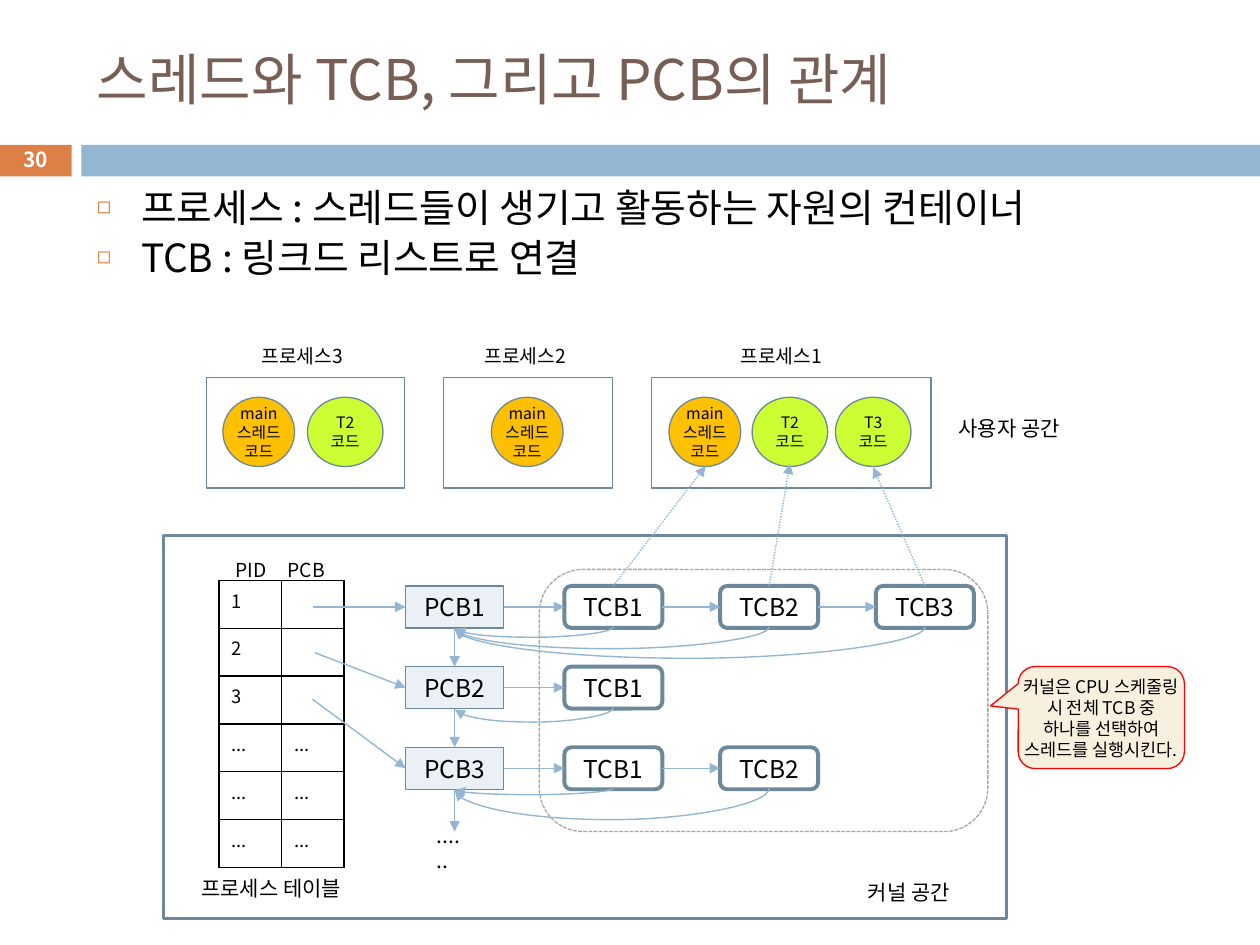
"""Build the slide on how threads, TCBs and PCBs relate."""
import lxml.etree
import pptx
import pptx.chart.data
import pptx.dml.color
import pptx.enum.dml
import pptx.enum.shapes
import pptx.enum.text
import pptx.oxml.ns
import pptx.util

Pt = pptx.util.Pt
qn = pptx.oxml.ns.qn
SubElement = lxml.etree.SubElement
RGBColor = pptx.dml.color.RGBColor
SHAPE = pptx.enum.shapes.MSO_SHAPE
CONNECTOR = pptx.enum.shapes.MSO_CONNECTOR
DASH = pptx.enum.dml.MSO_LINE
ALIGN = pptx.enum.text.PP_ALIGN
ANCHOR = pptx.enum.text.MSO_ANCHOR

THEME = {
    "font": "Noto Sans CJK KR",
    "title": "775F55", "text": "000000", "white": "FFFFFF",
    "accent": "DD8047", "arrow": "94B6D2", "outline": "6D879B",
    "pcb": "EAF0F6", "main": "FFC000", "thread": "CCFF33",
    "callout": "F7F0DE", "alert": "FF0000", "group": "A6A6A6",
    "title_size": 32, "body_size": 22.2, "block_size": 14, "label_size": 12,
    "number_size": 11.9, "caption_size": 11, "cell_size": 10.5,
    "callout_size": 10, "thread_size": 9,
}


def write_text(frame, lines, size, color="text", align=ALIGN.LEFT, bold=False):
    for index, line in enumerate(lines):
        paragraph = frame.paragraphs[0] if index == 0 else frame.add_paragraph()
        paragraph.alignment = align
        run = paragraph.add_run()
        run.text = line
        formats = {"name": THEME["font"], "size": Pt(THEME[size]), "bold": bold}
        for name, value in formats.items():
            setattr(run.font, name, value)
        run.font.color.rgb = RGBColor.from_string(THEME[color])
        SubElement(run._r.get_or_add_rPr(), qn("a:ea"), typeface=THEME["font"])


def add_block(kind, box, fill=None, line=None, width=0.75, lines=(), size="block_size", inset=None):
    shape = slide.shapes.add_shape(kind, *map(Pt, box))
    shape.shadow.inherit = False
    if fill:
        shape.fill.solid()
        shape.fill.fore_color.rgb = RGBColor.from_string(THEME[fill])
    else:
        shape.fill.background()
    if line:
        shape.line.color.rgb = RGBColor.from_string(THEME[line])
        shape.line.width = Pt(width)
    else:
        shape.line.fill.background()
    frame = shape.text_frame
    frame.vertical_anchor = ANCHOR.MIDDLE
    if inset is not None:
        for side in ("left", "top", "right", "bottom"):
            setattr(frame, f"margin_{side}", Pt(inset))
    write_text(frame, lines, size, align=ALIGN.CENTER)
    return shape


presentation = pptx.Presentation()
presentation.slide_width, presentation.slide_height = Pt(720), Pt(540)
slide = presentation.slides.add_slide(presentation.slide_layouts[1])

add_block(SHAPE.RECTANGLE, (-0.5, 82.8, 41.5, 18), "accent")
add_block(SHAPE.RECTANGLE, (46.5, 82.8, 673.5, 18), "arrow")

title, body = slide.placeholders
for placeholder, top, height, anchor in (
    (title, 18, 53.5, ANCHOR.MIDDLE), (body, 105.8, 60.5, ANCHOR.TOP),
):
    position = {"left": Pt(48.2), "top": Pt(top), "width": Pt(642), "height": Pt(height)}
    for name, value in position.items():
        setattr(placeholder, name, value)
    placeholder.text_frame.vertical_anchor = anchor
    placeholder.text_frame.auto_size = pptx.enum.text.MSO_AUTO_SIZE.NONE
write_text(title.text_frame, ["스레드와 TCB, 그리고 PCB의 관계"], "title_size", "title")
write_text(body.text_frame, [
    "프로세스 : 스레드들이 생기고 활동하는 자원의 컨테이너",
    "TCB : 링크드 리스트로 연결",
], "body_size")
for paragraph in body.text_frame.paragraphs:
    paragraph.space_before = Pt(7)
    paragraph.line_spacing = 0.82
    properties = paragraph._p.get_or_add_pPr()
    properties.set("marL", str(Pt(25.2)))
    properties.set("indent", str(Pt(-25.2)))
    SubElement(SubElement(properties, qn("a:buClr")), qn("a:srgbClr"), val=THEME["accent"])
    SubElement(properties, qn("a:buSzPct"), val="60000")
    SubElement(properties, qn("a:buChar"), char="◻")

add_block(SHAPE.RECTANGLE, (93.6, 306, 481.7, 218.9), line="outline", width=1.5)

PCB_LEFT, TCB_LEFT, TCB_STEP = 231.8, 322.5, 89
ROW_TOP, ROW_STEP, BLOCK_WIDTH, BLOCK_HEIGHT = 334.8, 46.1, 56, 24
pcb_center = PCB_LEFT + BLOCK_WIDTH / 2
tcb_centers = [TCB_LEFT + TCB_STEP * column + BLOCK_WIDTH / 2 for column in range(3)]
tcb_counts = (3, 1, 2)
pid_starts = ((178.6, 346.8), (180, 373), (178.6, 399.6))
arrows = []
for row, (tcb_count, pid_start) in enumerate(zip(tcb_counts, pid_starts)):
    top = ROW_TOP + ROW_STEP * row
    middle, bottom = top + BLOCK_HEIGHT / 2, top + BLOCK_HEIGHT
    add_block(SHAPE.RECTANGLE, (PCB_LEFT, top, BLOCK_WIDTH, BLOCK_HEIGHT),
              "pcb", "outline", lines=[f"PCB{row + 1}"])
    arrows.append((*pid_start, PCB_LEFT, middle, None))
    arrows.append((pcb_center, bottom, pcb_center, top + ROW_STEP if row < 2 else 475.2, None))
    previous_right = PCB_LEFT + BLOCK_WIDTH
    for column in range(tcb_count):
        left = TCB_LEFT + TCB_STEP * column
        add_block(SHAPE.ROUNDED_RECTANGLE, (left, top, BLOCK_WIDTH, BLOCK_HEIGHT),
                  "white", "outline", 2.25, [f"TCB{column + 1}"])
        arrows.append((previous_right, middle, left, middle, None))
        previous_right = left + BLOCK_WIDTH
for center, target in zip(tcb_centers, ((403.2, 266.4), (451.4, 265), (499, 267.1))):
    arrows.append((center, ROW_TOP, *target, DASH.ROUND_DOT))

table = slide.shapes.add_table(6, 2, Pt(125.2), Pt(331.8), Pt(71.4), Pt(163.8)).table
table.first_row = table.horz_banding = False
for row in range(6):
    for column in range(2):
        cell = table.cell(row, column)
        text = "..." if row > 2 else ("" if column else str(row + 1))
        if text:
            write_text(cell.text_frame, [text], "cell_size")
        else:
            SubElement(cell.text_frame.paragraphs[0]._p, qn("a:endParaRPr"), sz="1050")
        properties = cell._tc.get_or_add_tcPr()
        for side in ("lnL", "lnR", "lnT", "lnB"):
            border = SubElement(properties, qn(f"a:{side}"), w=str(Pt(1)))
            SubElement(SubElement(border, qn("a:solidFill")), qn("a:srgbClr"), val=THEME["text"])
        cell.fill.background()
for left, header in ((118.8, "PID"), (150.5, "PCB")):
    add_block(SHAPE.FLOWCHART_PROCESS, (left, 310.7, 49, 30.2), lines=[header], size="caption_size")

group = add_block(SHAPE.ROUNDED_RECTANGLE, (308.2, 325.4, 256.3, 149.8), line="group")
group.line.dash_style = DASH.SQUARE_DOT
callout = add_block(
    SHAPE.ROUNDED_RECTANGULAR_CALLOUT, (581.8, 380.9, 95, 58.3), "callout", "alert",
    lines=["커널은 CPU 스케줄링 시 전체 TCB 중 하나를 선택하여 스레드를 실행시킨다."],
    size="callout_size", inset=0)
for index, value in enumerate((-0.667, -0.114, 0.167)):
    callout.adjustments[index] = value

MAIN, T2, T3 = (["main 스레드", "코드"], "main", 41), (["T2", "코드"], "thread", 43.2), (["T3", "코드"], "thread", 43.2)
processes = (
    (118.1, 113, ((127.4, MAIN), (175.7, T2))),
    (253.4, 96.5, ((280.8, MAIN),)),
    (372.2, 159.8, ((382.3, MAIN), (429.8, T2), (477.4, T3))),
)
for left, width, threads in processes:
    add_block(SHAPE.RECTANGLE, (left, 215.6, width, 63.3), line="outline")
    for thread_left, (lines, fill, thread_width) in threads:
        add_block(SHAPE.OVAL, (thread_left, 227, thread_width, 39.6), fill, "outline",
                  lines=lines, size="thread_size", inset=0)

curves = [(0, 0, 5.9), (0, 1, 12.46), (0, 2, 18), (1, 0, 8.3), (2, 0, 3.6), (2, 1, 18)]
for row, column, dip in curves:
    bottom = ROW_TOP + ROW_STEP * row + BLOCK_HEIGHT
    span = tcb_centers[column] - pcb_center
    middle = pcb_center + span / 2
    arrows.append((middle - 0.5, bottom - span / 2, middle + 0.5, bottom + span / 2, dip))
for start_x, start_y, end_x, end_y, style in arrows:
    curved = isinstance(style, (int, float)) and style not in (DASH.ROUND_DOT,)
    kind = CONNECTOR.CURVE if curved else CONNECTOR.STRAIGHT
    connector = slide.shapes.add_connector(kind, *map(Pt, (start_x, start_y, end_x, end_y)))
    connector.line.color.rgb = RGBColor.from_string(THEME["arrow"])
    connector.line.width = Pt(0.79)
    properties = connector._element.spPr
    if curved:
        properties.find(qn("a:xfrm")).set("rot", "5400000")
        guides = properties.find(qn("a:prstGeom")).find(qn("a:avLst"))
        SubElement(guides, qn("a:gd"), name="adj1", fmla=f"val {round(style * 100000)}")
    elif style:
        connector.line.dash_style = style
    SubElement(connector.line._get_or_add_ln(), qn("a:tailEnd"), type="triangle")
    SubElement(properties, qn("a:effectLst"))

labels = (
    ("30", (-0.5, 81.4, 41.5, 19.4), "number_size", "white", ALIGN.CENTER),
    ("커널 공간", (488.9, 499, 67, 21.6), "label_size", "text", ALIGN.LEFT),
    ("프로세스 테이블", (108, 496.8, 103.7, 21.6), "label_size", "text", ALIGN.LEFT),
    ("......", (242.6, 466.6, 30.2, 21.6), "label_size", "text", ALIGN.LEFT),
    ("사용자 공간", (540.7, 234, 79.2, 21.6), "label_size", "text", ALIGN.LEFT),
    ("프로세스3", (140.4, 193, 64.8, 20.9), "caption_size", "text", ALIGN.CENTER),
    ("프로세스2", (267.8, 193, 64.8, 20.9), "caption_size", "text", ALIGN.CENTER),
    ("프로세스1", (414, 193, 64.8, 20.9), "caption_size", "text", ALIGN.CENTER),
)
for text, box, size, color, align in labels:
    frame = slide.shapes.add_textbox(*map(Pt, box)).text_frame
    frame.word_wrap = text in ("30", "......")
    frame.vertical_anchor = ANCHOR.MIDDLE if text == "30" else ANCHOR.TOP
    write_text(frame, [text], size, color, align, bold=text == "30")

presentation.save("out.pptx")
